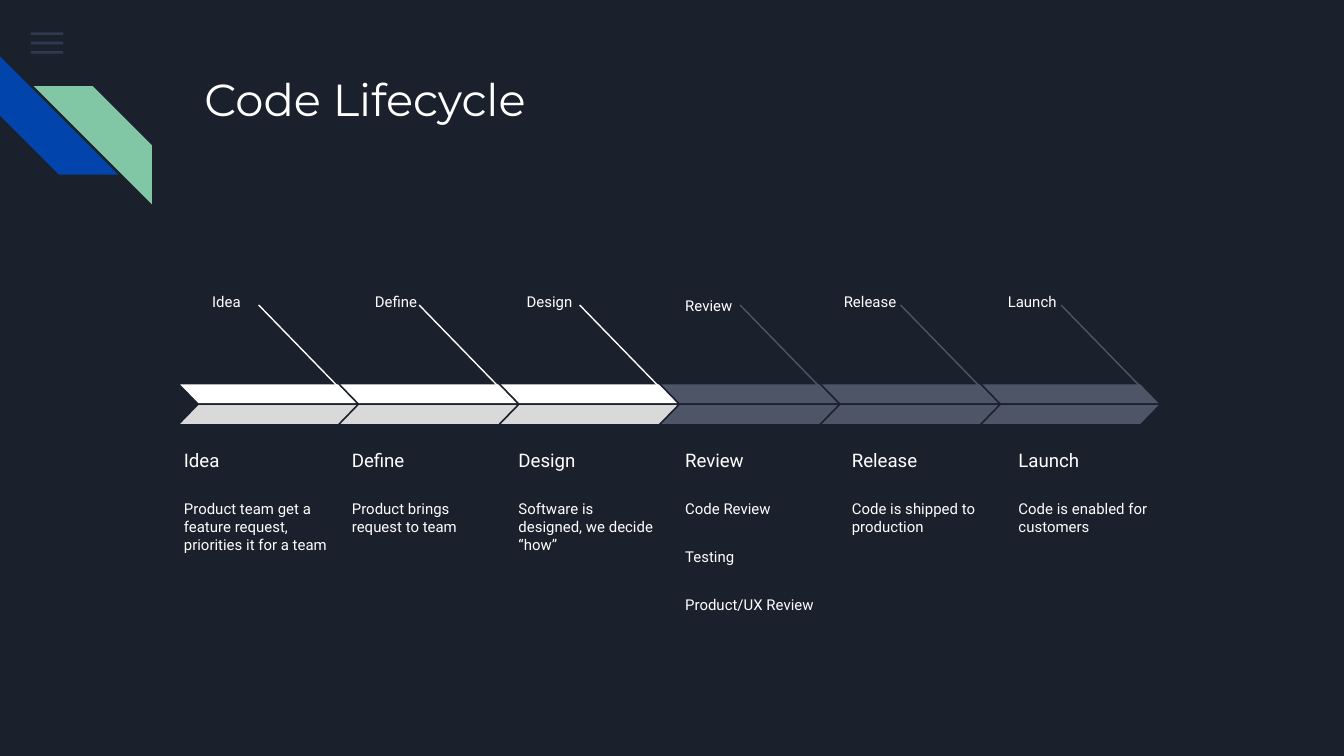
from dataclasses import dataclass
from typing import NamedTuple

from lxml import etree
from pptx import Presentation
from pptx import util as u
from pptx.dml.color import RGBColor
from pptx.enum import shapes, text
from pptx.oxml import ns

WIDTH = u.Inches(10)
HEIGHT = WIDTH * 9 // 16
UNIT = WIDTH // 100


class Frame(NamedTuple):
    column: float
    row: float
    columns: float
    rows: float

    def emu(self) -> list[int]:
        return [round(length * UNIT) for length in self]


@dataclass(frozen=True)
class Theme:
    background: str = "1B212C"
    text: str = "FFFFFF"
    done_top: str = "FFFFFF"
    done_bottom: str = "D9D9D9"
    pending: str = "4E5567"
    menu: str = "55688B"
    blue: str = "0145AC"
    green: str = "82C7A5"
    title_font: str = "Montserrat"
    body_font: str = "Roboto"
    title_size: int = 24
    heading_size: int = 10
    body_size: int = 8
    gap: int = 16
    line: float = 0.75


@dataclass(frozen=True)
class Stage:
    name: str
    notes: tuple[str, ...]
    label_column: float
    label_row: float = 20.8
    label_columns: float = 5.9
    done: bool = False


THEME = Theme()
ARROW_START, ARROW_STEP = 13.4, 11.94
NOTE_START, NOTE_STEP = 12.8, 12.4
FIRST_NOTE = (12.7, 12.8)

STAGES = (
    Stage("Idea", ("Product team get a feature request, priorities it for a team",), 14.8, done=True),
    Stage("Define", ("Product brings request to team",), 26.9, done=True),
    Stage("Design", ("Software is designed, we decide “how”",), 38.2, done=True),
    Stage("Review", ("Code Review", "Testing", "Product/UX Review"), 50, label_row=21.1),
    Stage("Release", ("Code is shipped to production",), 61.8, label_columns=7),
    Stage("Launch", ("Code is enabled for customers",), 74),
)


def write(box, lines: tuple[str, ...], size: int, font: str = THEME.body_font,
          anchor=text.MSO_ANCHOR.TOP) -> None:
    frame = box.text_frame
    frame.word_wrap = True
    frame.auto_size = text.MSO_AUTO_SIZE.NONE
    frame.vertical_anchor = anchor
    frame.margin_left = frame.margin_right = u.Inches(0.1)
    frame.margin_top = frame.margin_bottom = u.Inches(0.1)
    for index, line in enumerate(lines):
        para = frame.add_paragraph() if index else frame.paragraphs[0]
        para.alignment = text.PP_ALIGN.LEFT
        para.space_before = u.Pt(THEME.gap if index else 0)
        span = para.add_run()
        span.text = line
        span.font.size = u.Pt(size)
        span.font.name = font
        span.font.color.rgb = RGBColor.from_string(THEME.text)


def add_text(page, frame: Frame, lines: tuple[str, ...], size: int,
             anchor=text.MSO_ANCHOR.TOP) -> None:
    write(page.shapes.add_textbox(*frame.emu()), lines, size, anchor=anchor)


def add_block(page, kind, frame: Frame, color: str, adjust: float | None = None,
              flipped: bool = False):
    block = page.shapes.add_shape(kind, *frame.emu())
    block.shadow.inherit = False
    block.fill.solid()
    block.fill.fore_color.rgb = RGBColor.from_string(color)
    block.line.fill.background()
    if adjust is not None:
        block.adjustments[0] = adjust
    if flipped:
        block._element.spPr.find(ns.qn("a:xfrm")).set("flipH", "1")
    return block


def add_line(page, start: tuple[float, float], end: tuple[float, float], color: str) -> None:
    points = [round(length * UNIT) for length in (*start, *end)]
    line = page.shapes.add_connector(shapes.MSO_CONNECTOR.STRAIGHT, *points)
    line.line.color.rgb = RGBColor.from_string(color)
    line.line.width = u.Pt(THEME.line)
    etree.SubElement(line._element.spPr, ns.qn("a:effectLst"))


def add_decoration(page) -> None:
    kinds = shapes.MSO_SHAPE
    for bar in range(3):
        block = add_block(page, kinds.RECTANGLE, Frame(2.3, 2.4 + 0.7 * bar, 2.4, 0.2), THEME.menu)
        color = block._element.spPr.find(f".//{ns.qn('a:srgbClr')}")
        etree.SubElement(color, ns.qn("a:alpha"), val="36000")
    stripe = add_block(page, kinds.DIAGONAL_STRIPE, Frame(0, 4.2, 8.8, 8.8), THEME.blue, 0.5)
    stripe.rotation = 270
    add_block(page, kinds.DIAGONAL_STRIPE, Frame(2.5, 6.4, 8.8, 8.8), THEME.green, 0.5, True)


def add_title(page, wording: str) -> None:
    title = page.shapes.title
    title.left, title.top, title.width, title.height = Frame(14.2, 4.3, 77, 10).emu()
    write(title, (wording,), THEME.title_size, THEME.title_font)


def add_arrow(page, index: int, stage: Stage) -> None:
    left = ARROW_START + ARROW_STEP * index
    top_color = THEME.done_top if stage.done else THEME.pending
    bottom_color = THEME.done_bottom if stage.done else THEME.pending
    add_line(page, (left + 5.85, 22.7), (left + 12.85, 29.9), top_color)
    kind = shapes.MSO_SHAPE.PARALLELOGRAM
    add_block(page, kind, Frame(left, 28.6, 13.1, 1.4), top_color, 0.97, True)
    add_block(page, kind, Frame(left, 30.15, 13.1, 1.4), bottom_color, 0.97)


def add_stage_text(page, index: int, stage: Stage) -> None:
    label = Frame(stage.label_column, stage.label_row, stage.label_columns, 2.3)
    left, width = (NOTE_START + NOTE_STEP * index, NOTE_STEP) if index else FIRST_NOTE
    add_text(page, label, (stage.name,), THEME.body_size)
    add_text(page, Frame(left, 31.7, width, 4.4), (stage.name,), THEME.heading_size,
             text.MSO_ANCHOR.BOTTOM)
    add_text(page, Frame(left, 36.2, width, 7.3), stage.notes, THEME.body_size)


def main() -> None:
    deck = Presentation()
    deck.slide_width, deck.slide_height = WIDTH, HEIGHT
    page = deck.slides.add_slide(deck.slide_layouts[5])
    page.background.fill.solid()
    page.background.fill.fore_color.rgb = RGBColor.from_string(THEME.background)
    add_decoration(page)
    add_title(page, "Code Lifecycle")
    for draw in (add_stage_text, add_arrow):
        for index, stage in enumerate(STAGES):
            draw(page, index, stage)
    deck.save("out.pptx")


if __name__ == "__main__":
    main()
